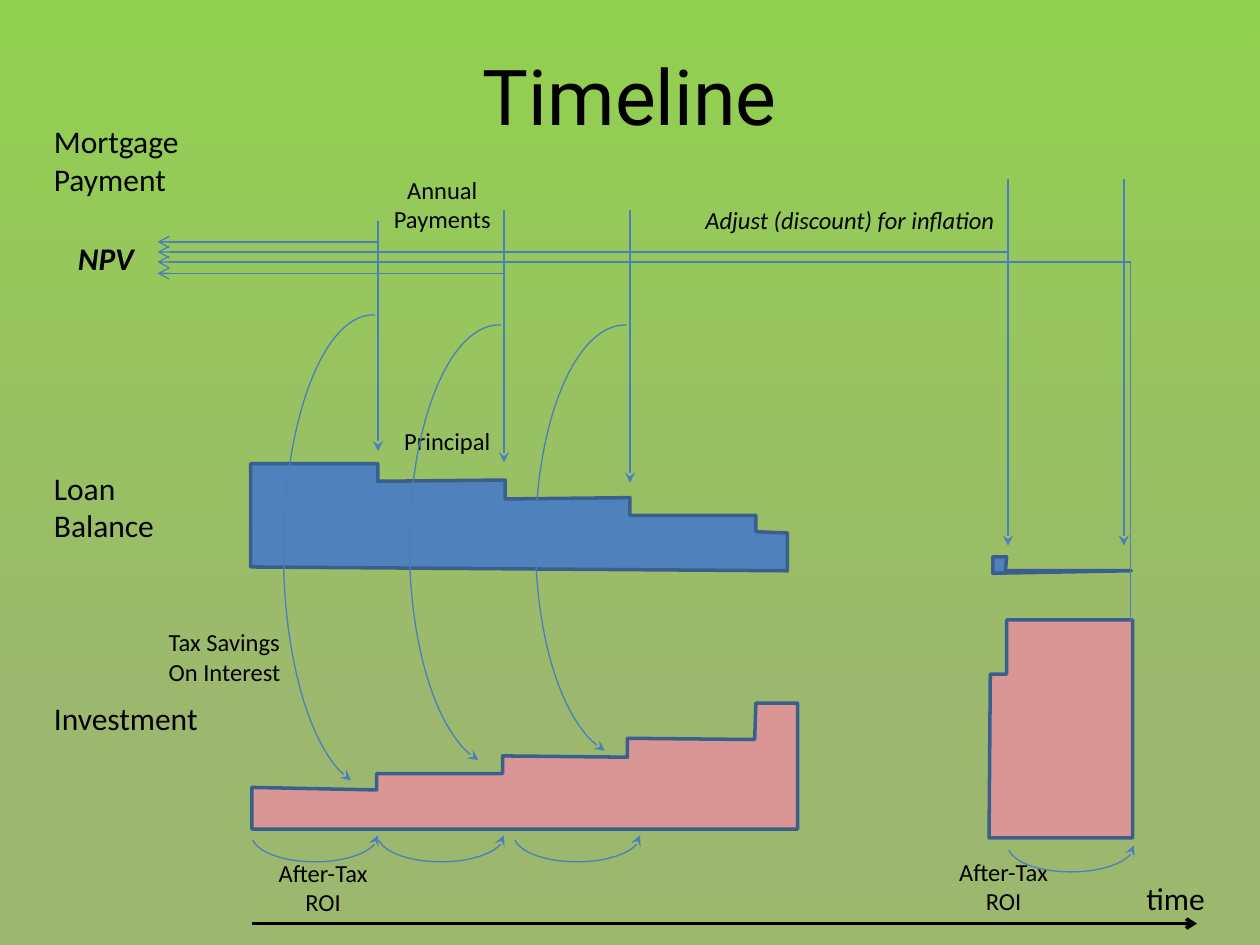
from pptx import Presentation
from pptx.dml.color import RGBColor
from pptx.enum.shapes import MSO_CONNECTOR, MSO_SHAPE
from pptx.enum.text import MSO_ANCHOR, MSO_AUTO_SIZE, PP_ALIGN
from pptx.oxml.ns import qn
from pptx.util import Inches, Pt
from lxml import etree

STRAIGHT, ELBOW = MSO_CONNECTOR.STRAIGHT, MSO_CONNECTOR.ELBOW
LEFT, CENTER = PP_ALIGN.LEFT, PP_ALIGN.CENTER
GROW, FIXED = MSO_AUTO_SIZE.SHAPE_TO_FIT_TEXT, MSO_AUTO_SIZE.NONE
COLORS = {"top": "92D050", "base": "9CB86E", "ink": "000000", "flow": "4B7EBC",
          "loan": "4F81BD", "fund": "D99694", "edge": "3A5F8C"}
BODY = {"name": "Calibri", "size": Pt(18)}
NOTE = {"name": "Calibri", "size": Pt(14)}
HEAD = {"name": "Roboto", "size": Pt(44)}

# lines of text, box (left, top, width, height), alignment, font
LABELS = [
    (["time"], (9, 6.93, 0.83, 0.4), LEFT, BODY),
    (["Mortgage", "Payment"], (0.33, 0.92, 1.2, 0.71), LEFT, BODY),
    (["Loan", "Balance"], (0.33, 3.67, 1, 0.71), LEFT, BODY),
    (["Investment"], (0.33, 5.5, 1.35, 0.71), LEFT, BODY),
    (["NPV"], (0.52, 1.85, 0.65, 0.4), LEFT, BODY | {"bold": True, "italic": True}),
    (["Annual", "Payments"], (3.02, 1.34, 0.98, 0.57), CENTER, NOTE),
    (["Principal"], (3.11, 3.33, 0.89, 0.34), LEFT, NOTE),
    (["Tax Savings", "On Interest"], (1.24, 4.93, 1.1, 0.57), LEFT, NOTE),
    (["Adjust (discount) for inflation"], (5.5, 1.58, 2.54, 0.34), LEFT,
     NOTE | {"italic": True}),
    (["After-Tax", "ROI"], (2.1, 6.76, 0.93, 0.57), CENTER, NOTE),
    (["After-Tax", "ROI"], (7.5, 6.75, 0.93, 0.57), CENTER, NOTE),
]
# fill, outline points
STEPS = [
    ("loan", [(1.99, 3.68), (3, 3.68), (3, 3.82), (4.01, 3.81), (4.01, 3.96),
              (5, 3.95), (5, 4.09), (6, 4.09), (6, 4.22), (6.25, 4.23),
              (6.25, 4.53), (1.99, 4.5)]),
    ("loan", [(7.88, 4.55), (7.88, 4.42), (7.99, 4.42), (7.98, 4.53), (8.98, 4.53)]),
    ("fund", [(6.33, 5.58), (6, 5.58), (5.99, 5.87), (4.98, 5.86), (4.98, 6.01),
              (3.99, 6), (3.99, 6.14), (2.99, 6.14), (2.99, 6.27), (2, 6.25),
              (2, 6.58), (6.33, 6.58)]),
    ("fund", [(7.86, 5.35), (7.85, 6.65), (8.99, 6.65), (8.99, 4.92),
              (7.99, 4.92), (7.99, 5.35)]),
]
PAYMENTS = [(3, 1.75, 3.58), (4, 1.67, 3.67), (5, 1.67, 3.83),
            (8, 1.42, 4.33), (8.92, 1.42, 4.33)]  # x, top, bottom
DISCOUNTS = [(3, 1.92), (4, 2.17), (8, 2)]  # start x, y
NPV_X = 1.25
SAVINGS = [(2.25, 2.5, 3.75), (3.25, 2.58, 3.5), (4.25, 2.58, 3.42)]  # left, top, height
RETURNS = [(2, 6.42), (3, 6.42), (4.08, 6.42), (8, 6.5)]  # left, top


def rgb(key):
    return RGBColor.from_string(COLORS[key])


def ink(shape, key, width, **ends):
    """Style the line; ends maps headEnd or tailEnd to an arrowhead type."""
    shape.line.color.rgb = rgb(key)
    shape.line.width = Pt(width)
    for end, kind in ends.items():
        etree.SubElement(shape.line._get_or_add_ln(), qn("a:" + end), type=kind)


def label(slide, lines, box, align, font):
    shape = slide.shapes.add_textbox(*map(Inches, box))
    frame = shape.text_frame
    frame.text = "\n".join(lines)
    frame.word_wrap = False
    frame.auto_size = GROW
    for para in frame.paragraphs:
        para.alignment = align
        para.font.color.rgb = rgb("ink")
        for name, value in font.items():
            setattr(para.font, name, value)
    return frame


def arrow(slide, start, end, tip, key="flow", width=0.75, kind=STRAIGHT):
    line = slide.shapes.add_connector(kind, *map(Inches, start + end))
    ink(line, key, width, tailEnd=tip)
    etree.SubElement(line._element.spPr, qn("a:effectLst"))
    return line


def arc(slide, box, angles, flips, end):
    shape = slide.shapes.add_shape(MSO_SHAPE.ARC, *map(Inches, box))
    shape.shadow.inherit = False
    shape.fill.background()
    for i, angle in enumerate(angles):
        shape.adjustments[i] = angle * 0.6  # degrees to adjustment units
    for flip in flips:
        shape._element.spPr.xfrm.set(flip, "1")
    ink(shape, "flow", 0.75, **{end: "stealth"})


def block(slide, key, points):
    dots = [(x * 100, y * 100) for x, y in points]
    path = slide.shapes.build_freeform(*dots[0], scale=Inches(0.01))
    path.add_line_segments(dots[1:], close=True)
    shape = path.convert_to_shape()
    shape.shadow.inherit = False
    shape.fill.solid()
    shape.fill.fore_color.rgb = rgb(key)
    ink(shape, "edge", 2)


def main():
    deck = Presentation()
    deck.slide_width, deck.slide_height = Inches(10), Inches(7.5)
    slide = deck.slides.add_slide(deck.slide_layouts[6])
    fill = slide.background.fill
    fill.gradient()
    fill.gradient_angle = 90
    for stop, key, place in zip(fill.gradient_stops, ("base", "top"), (0.24, 1)):
        stop.color.rgb, stop.position = rgb(key), place

    title = label(slide, ["Timeline"], (0.5, 0.25, 9, 1), CENTER, HEAD)
    title.auto_size = FIXED
    title.word_wrap, title.vertical_anchor = True, MSO_ANCHOR.MIDDLE

    arrow(slide, (2, 7.33), (9.5, 7.33), "arrow", "ink", 2)
    for item in STEPS:
        block(slide, *item)
    for item in LABELS:
        label(slide, *item)
    for x, top, bottom in PAYMENTS:
        arrow(slide, (x, top), (x, bottom), "stealth")
    for x, y in DISCOUNTS:
        arrow(slide, (x, y), (NPV_X, y), "arrow")
    bent = arrow(slide, (8.99, 4.92), (NPV_X, 2.08), "arrow", kind=ELBOW)
    guides = bent._element.spPr.find(qn("a:prstGeom")).get_or_add_avLst()
    etree.SubElement(guides, qn("a:gd"), name="adj1", fmla="val 200")
    for left, top, height in SAVINGS:
        arc(slide, (left, top, 1.42, height), (275.45, 90.48),
            ("flipH", "flipV"), "headEnd")
    for left, top in RETURNS:
        arc(slide, (left, top, 1, 0.42), (184.12, 0), ("flipV",), "tailEnd")
    deck.save("out.pptx")


if __name__ == "__main__":
    main()
